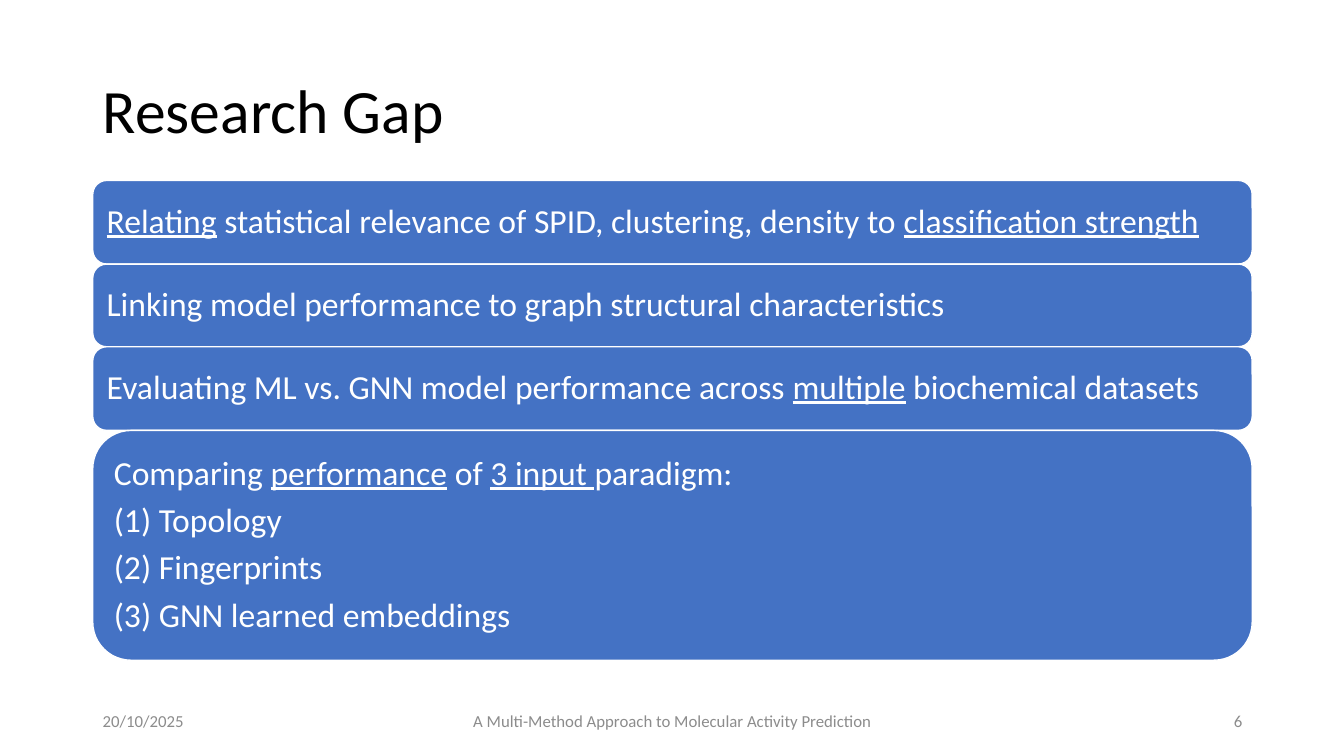
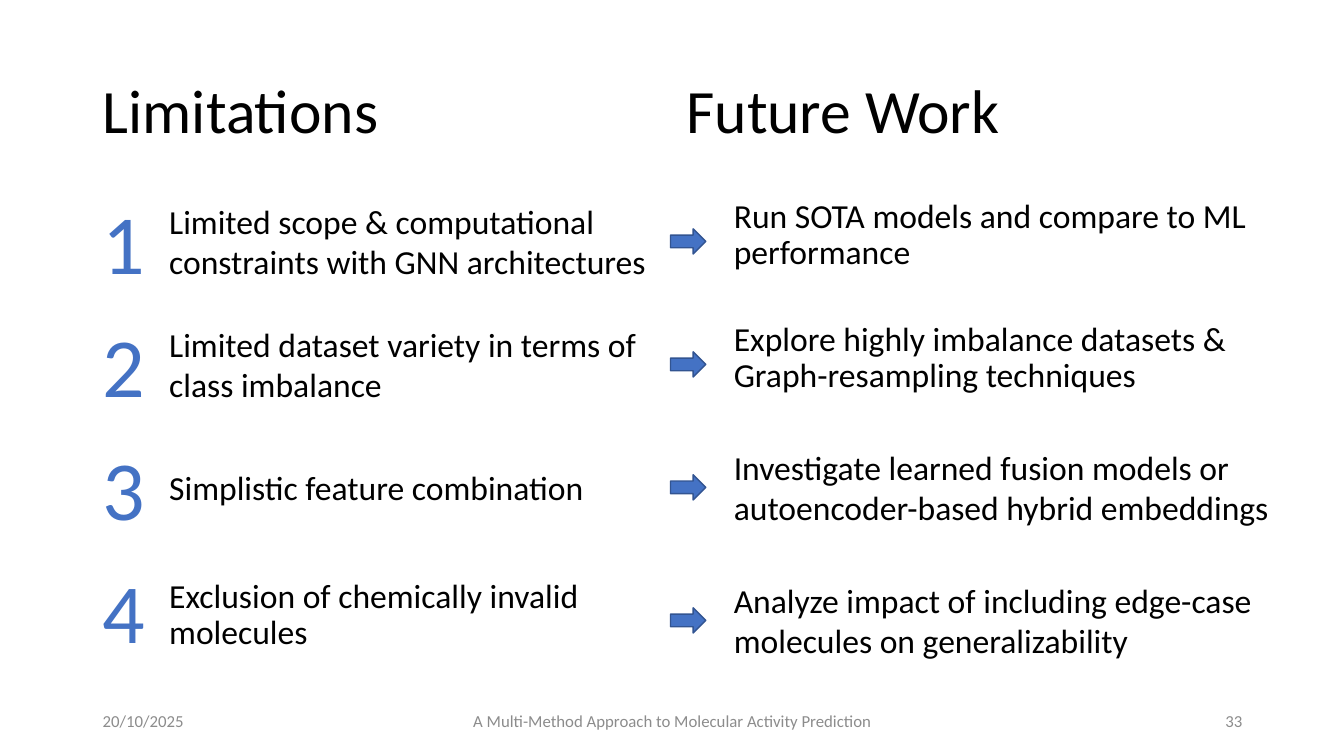
from pptx import Presentation
from pptx.dml.color import RGBColor
from pptx.enum.shapes import MSO_SHAPE
from pptx.enum.text import MSO_ANCHOR, MSO_AUTO_SIZE, PP_ALIGN
from pptx.util import Emu, Pt

BLACK = RGBColor(0, 0, 0)
WHITE = RGBColor(255, 255, 255)
BLUE = RGBColor(0x44, 0x72, 0xC4)
NAVY = RGBColor(0x32, 0x54, 0x91)
GREY = RGBColor(0x8C, 0x8C, 0x8C)

LEFT, CENTER, RIGHT = PP_ALIGN.LEFT, PP_ALIGN.CENTER, PP_ALIGN.RIGHT
TOP, MIDDLE = MSO_ANCHOR.TOP, MSO_ANCHOR.MIDDLE
ROUND, ARROW = MSO_SHAPE.ROUNDED_RECTANGLE, MSO_SHAPE.RIGHT_ARROW
FIXED = MSO_AUTO_SIZE.NONE

FONT = "Calibri"
EDGE = 92
TITLE_LOOK = {"size": 44, "lead": 0.9, "anchor": MIDDLE}
FOOT_LOOK = {"size": 12, "color": GREY, "anchor": MIDDLE}

# Each bar: height and paragraphs; text between underscores is underlined
BARS = [
    (83, ["_Relating_ statistical relevance of SPID, clustering, density to "
          "_classification strength_"]),
    (82, ["Linking model performance to graph structural characteristics"]),
    (83, ["Evaluating ML vs. GNN model performance across _multiple_ "
          "biochemical datasets"]),
    (228, ["Comparing _performance_ of _3 input _paradigm:", "(1) Topology",
           "(2) Fingerprints", "(3) GNN learned embeddings"]),
]

# Each row: (top, line spacing, text) for both columns, then the arrow top
ROWS = [
    ((194, 1, "Limited scope & computational constraints with GNN architectures"),
     (193, 0.9, "Run SOTA models and compare to ML performance"), 227),
    ((316, 1, "Limited dataset variety in terms of class imbalance"),
     (315, 0.9, "Explore highly imbalance datasets & Graph-resampling techniques"),
     349),
    ((458, 1, "Simplistic feature combination"),
     (438, 1, "Investigate learned fusion models or autoencoder-based hybrid "
              "embeddings"), 471),
    ((570, 0.9, "Exclusion of chemically invalid molecules"),
     (570, 1, "Analyze impact of including edge-case molecules on "
              "generalizability"), 603),
]


def px(n):
    """100 px make one inch."""
    return Emu(n * 9144)


def write(frame, paras, size=24, color=BLACK, align=LEFT, lead=1, anchor=TOP):
    frame.word_wrap = True
    frame.auto_size = FIXED
    frame.vertical_anchor = anchor
    for i, text in enumerate(paras):
        para = frame.add_paragraph() if i else frame.paragraphs[0]
        para.alignment = align
        para.line_spacing = lead
        para.space_before = Pt(8 if i else 0)
        for j, part in enumerate(text.split("_")):
            if not part:
                continue
            run = para.add_run()
            run.text = part
            font = run.font
            font.name, font.size = FONT, Pt(size)
            font.color.rgb = color
            font.underline = j % 2 == 1


def label(slide, box, text, **look):
    shape = slide.shapes.add_textbox(*map(px, box))
    write(shape.text_frame, [text], **look)


def block(slide, kind, box, line):
    shape = slide.shapes.add_shape(kind, *map(px, box))
    shape.shadow.inherit = False
    shape.fill.solid()
    shape.fill.fore_color.rgb = BLUE
    shape.line.color.rgb = line
    shape.line.width = Pt(1)
    return shape


def start(deck, title, width, number):
    """Add a slide with the shared title and footer."""
    slide = deck.slides.add_slide(deck.slide_layouts[5])
    head = slide.shapes.title
    head.left, head.top, head.width, head.height = map(px, (EDGE, 40, width, 145))
    write(head.text_frame, [title], **TITLE_LOOK)
    feet = [
        (EDGE, 300, "20/10/2025", LEFT),
        (442, 450, "A Multi-Method Approach to Molecular Activity Prediction", CENTER),
        (942, 300, number, RIGHT),
    ]
    for left, wide, text, align in feet:
        label(slide, (left, 695, wide, 40), text, align=align, **FOOT_LOOK)
    return slide


def gap_slide(deck):
    slide = start(deck, "Research Gap", 1150, "6")
    top = 179
    for high, paras in BARS:
        frame = block(slide, ROUND, (EDGE, top, 1150, high), WHITE).text_frame
        frame.margin_left = frame.margin_right = px(10)
        frame.margin_top = frame.margin_bottom = px(10)
        write(frame, paras, color=WHITE, lead=0.9, anchor=MIDDLE)
        top += high


def work_slide(deck):
    slide = start(deck, "Limitations", 571, "33")
    label(slide, (671, 40, 571, 145), "Future Work", **TITLE_LOOK)
    for i, (limit, plan, mark) in enumerate(ROWS):
        # Number, limitation, arrow, future work
        label(slide, (EDGE, 184 + 122 * i, 50, 111), str(i + 1), size=60, color=BLUE)
        for left, wide, (top, lead, text) in ((158, 500, limit), (718, 567, plan)):
            label(slide, (left, top, wide, 91), text, lead=lead)
        block(slide, ARROW, (665, mark, 35, 25), NAVY)


def main():
    deck = Presentation()
    deck.slide_width, deck.slide_height = px(1333), px(750)
    gap_slide(deck)
    work_slide(deck)
    deck.save("out.pptx")


if __name__ == "__main__":
    main()
